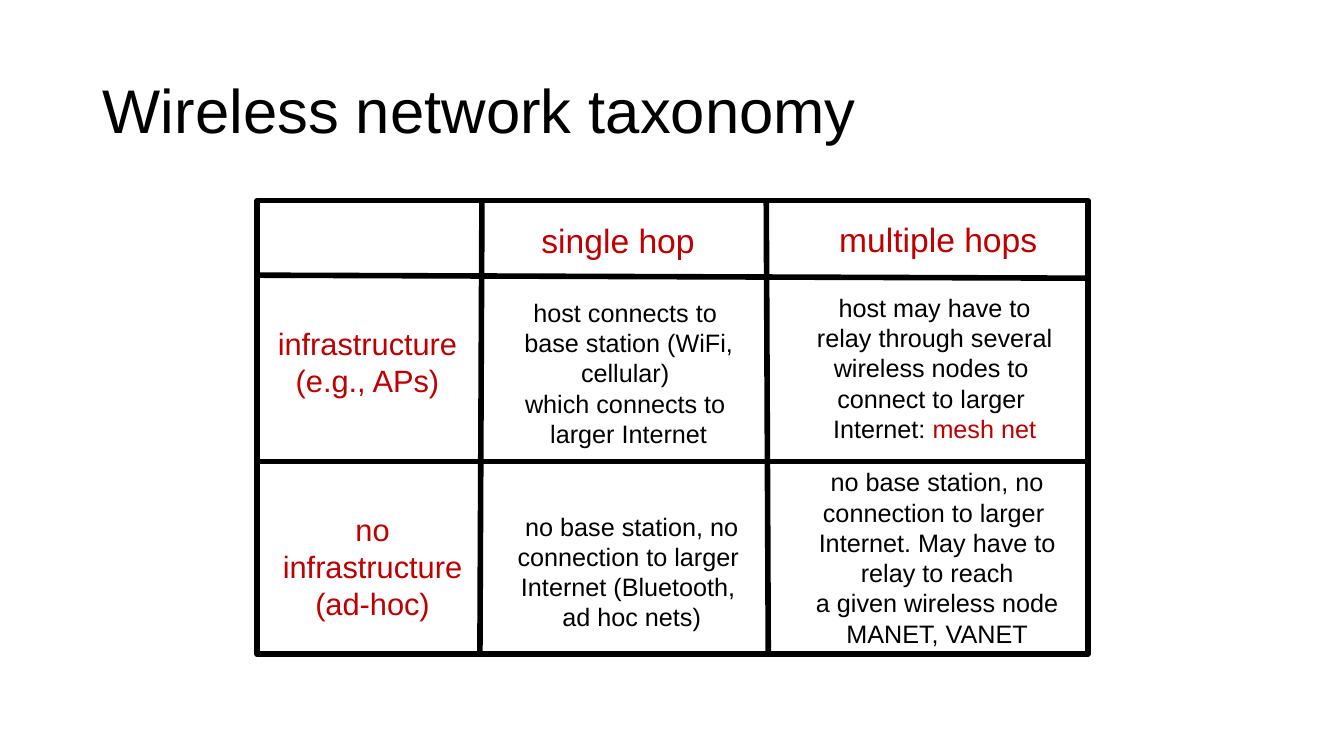
from lxml.etree import SubElement
from pptx import Presentation
from pptx.dml.color import RGBColor
from pptx.enum.shapes import MSO_CONNECTOR, MSO_SHAPE
from pptx.enum.text import MSO_ANCHOR, MSO_AUTO_SIZE, PP_ALIGN
from pptx.oxml.ns import qn
from pptx.util import Emu, Pt

UNIT = 9144  # EMU in one px, 100 px to the inch
BLACK, RED = "000000", "C00000"
FONT = "Arial"

HEADS = [
    ((526, 213, 174, 50), 24, ["single hop"]),
    ((821, 212, 219, 50), 24, ["multiple hops"]),
    ((264, 317, 201, 84), 22, ["infrastructure", "(e.g., APs)"]),
    ((269, 502, 201, 121), 22, ["no", "infrastructure", "(ad-hoc)"]),
]
CELLS = [
    ((509, 290, 229, 162), ["host connects to ", "base station (WiFi,", "cellular) ",
                            "which connects to ", "larger Internet"]),
    ((502, 502, 249, 131), ["no base station, no", "connection to larger ",
                            "Internet (Bluetooth, ", "ad hoc nets)"]),
    ((798, 458, 263, 192), ["no base station, no", "connection to larger ",
                            "Internet. May have to", "relay to reach",
                            "a given wireless node", "MANET, VANET"]),
]
MESH = ["host may have to", "relay through several", "wireless nodes to ",
        "connect to larger ", "Internet: "]
FRAME = (255, 199, 824, 450)
RULES = [
    (255, 273, 1078, 276),
    (478, 197, 476, 648),
    (760, 199, 762, 648),
    (255, 458, 1078, 458),
]


def px(*nums):
    return [Emu(n * UNIT) for n in nums]


def rgb(code):
    return RGBColor.from_string(code)


def style(font, size, color):
    font.name, font.size = FONT, Pt(size)
    font.color.rgb = rgb(color)


def stroke(line):
    line.color.rgb = rgb(BLACK)
    line.width = Pt(4)


def add_title(slide, text):
    title = slide.shapes.title
    title.left, title.top, title.width, title.height = px(92, 40, 1150, 145)
    frame = title.text_frame
    frame.text = text
    frame.auto_size = MSO_AUTO_SIZE.NONE
    frame.vertical_anchor = MSO_ANCHOR.MIDDLE
    para = frame.paragraphs[0]
    para.alignment = PP_ALIGN.LEFT
    para.line_spacing = 0.9
    style(para.font, 44, BLACK)


def add_text(slide, box, lines, size, color):
    """Add a centred text box and return its last paragraph."""
    frame = slide.shapes.add_textbox(*px(*box)).text_frame
    frame.word_wrap = False
    frame.auto_size = MSO_AUTO_SIZE.SHAPE_TO_FIT_TEXT
    frame.text = "\n".join(lines)
    for para in frame.paragraphs:
        para.alignment = PP_ALIGN.CENTER
        style(para.font, size, color)
    return para


def add_frame(slide, box):
    rect = slide.shapes.add_shape(MSO_SHAPE.RECTANGLE, *px(*box))
    rect.shadow.inherit = False
    rect.fill.background()
    stroke(rect.line)


def add_rule(slide, ends):
    rule = slide.shapes.add_connector(MSO_CONNECTOR.STRAIGHT, *px(*ends))
    stroke(rule.line)
    SubElement(rule._element.spPr, qn("a:effectLst"))


def main():
    deck = Presentation()
    deck.slide_width, deck.slide_height = px(1333, 750)
    slide = deck.slides.add_slide(deck.slide_layouts[5])
    add_title(slide, "Wireless network taxonomy")
    for box, size, lines in HEADS:
        add_text(slide, box, lines, size, RED)
    for box, lines in CELLS:
        add_text(slide, box, lines, 18, BLACK)
    last = add_text(slide, (799, 285, 256, 162), MESH, 18, BLACK)
    term = last.add_run()
    term.text = "mesh net"
    term.font.color.rgb = rgb(RED)
    add_frame(slide, FRAME)
    for ends in RULES:
        add_rule(slide, ends)
    deck.save("out.pptx")


if __name__ == "__main__":
    main()
